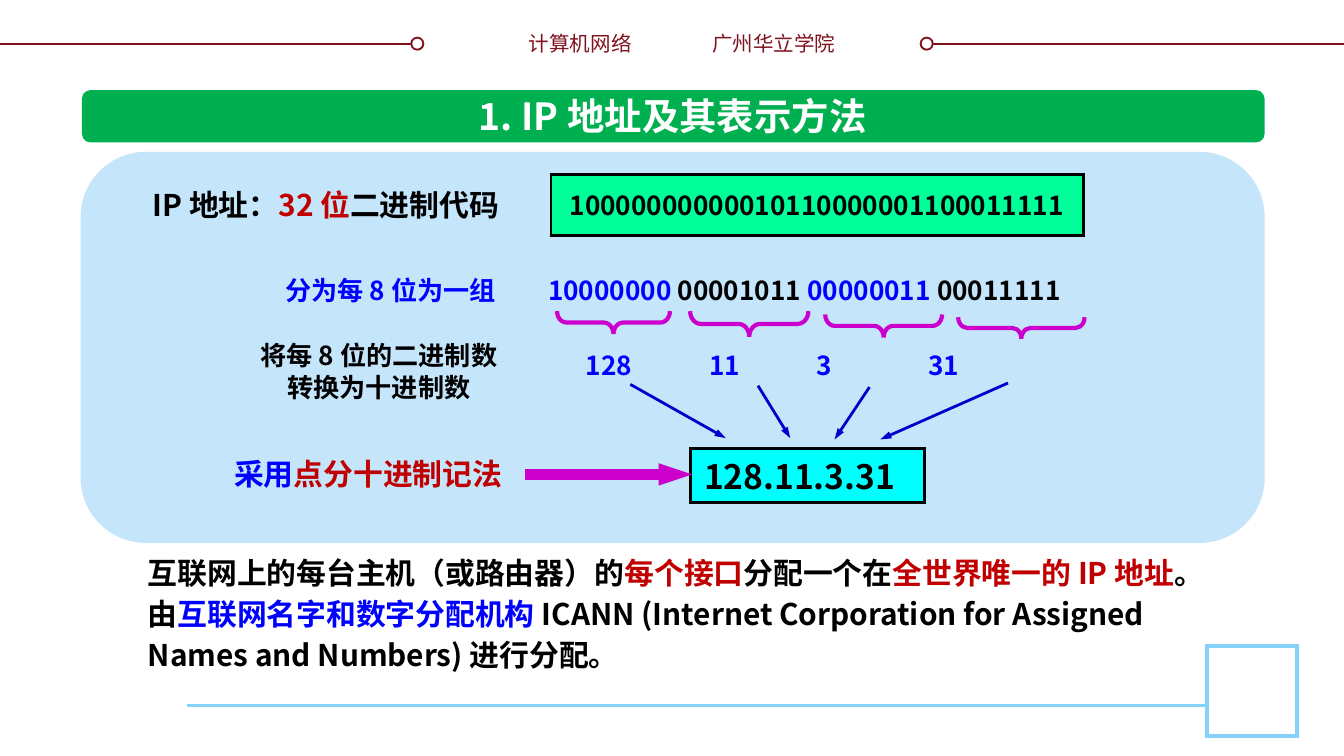
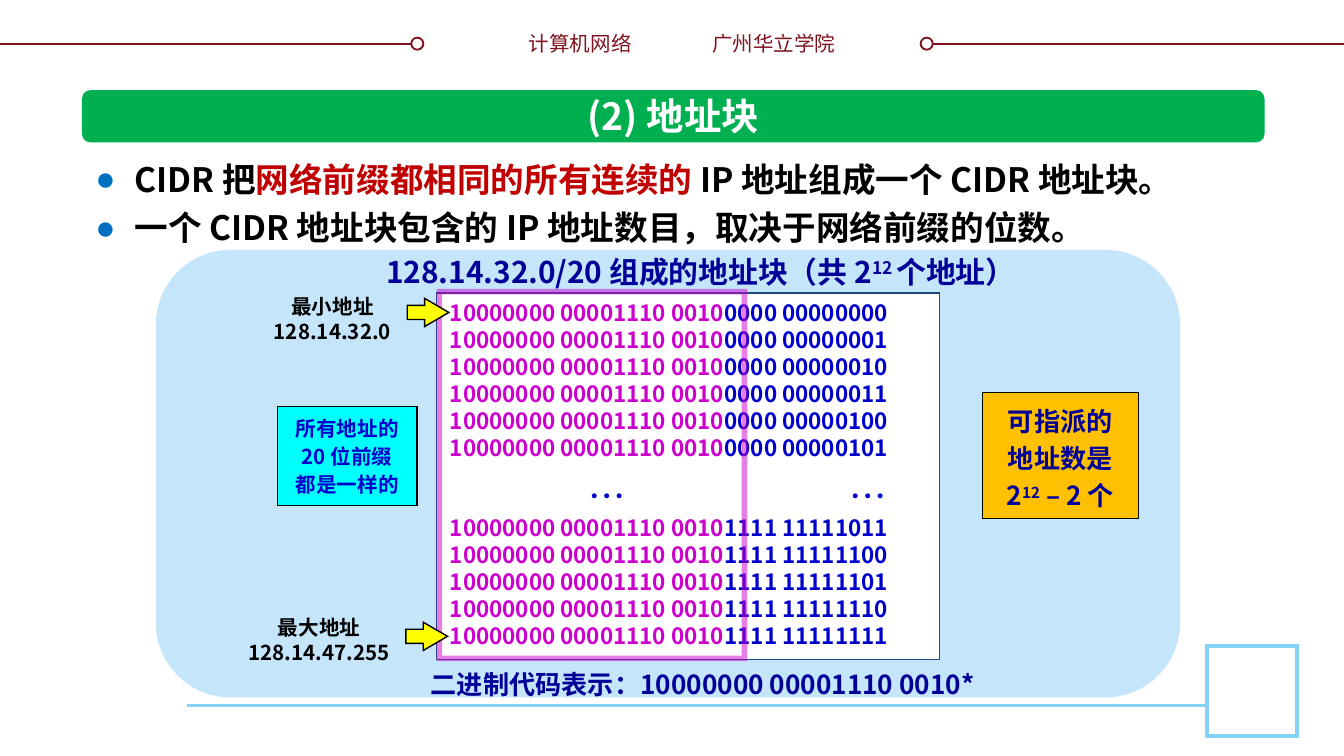
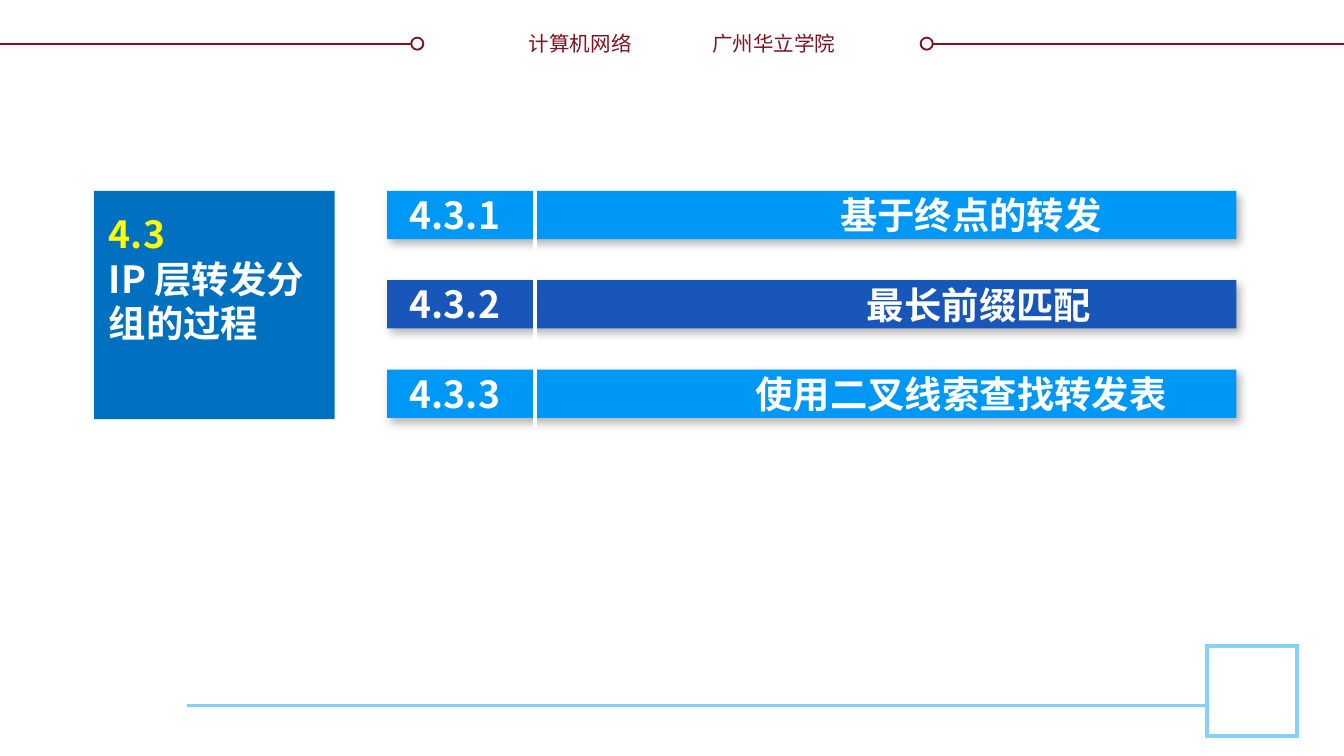
import pptx
import pptx.util
import pptx.dml.color
import pptx.enum.shapes
import pptx.enum.text
import pptx.oxml.ns
from lxml import etree

FONT = "Noto Sans CJK SC"
COLOURS = {
    "white": "FFFFFF", "black": "000000", "maroon": "7F131F", "sky": "85D1F7",
    "green": "00B050", "panel": "C5E5FB", "mint": "00FF99", "cyan": "00FFFF",
    "red": "C00000", "blue": "0000FF", "ink": "0000CC", "navy": "000099",
    "magenta": "CC00CC", "slate": "1F497D", "yellow": "FFFF00", "amber": "FFC000",
    "bullet": "0070C0", "azure": "0098F6", "royal": "1956B9",
}
RGB = {name: pptx.dml.color.RGBColor.from_string(value) for name, value in COLOURS.items()}
SHAPE = pptx.enum.shapes.MSO_SHAPE
ALIGN = {
    "l": pptx.enum.text.PP_ALIGN.LEFT,
    "c": pptx.enum.text.PP_ALIGN.CENTER,
    "r": pptx.enum.text.PP_ALIGN.RIGHT,
}
qn = pptx.oxml.ns.qn

deck = pptx.Presentation()
deck.slide_width = pptx.util.Inches(10)
deck.slide_height = deck.slide_width * 9 // 16
CELL = deck.slide_width // 100


def place(page, kind, area, paras=(), size=16, fill=None, line=None, width=1,
          align="l", wrap=True, middle=False, bold=True, leading=None,
          gap=0, bullet=False, indents=()):
    area = [round(length * CELL) for length in area]
    if kind in ("title", "body"):
        box = page.shapes.title if kind == "title" else page.placeholders[1]
        box.left, box.top, box.width, box.height = area
        page.shapes.element.append(box.element)
    elif kind == "text":
        box = page.shapes.add_textbox(*area)
    else:
        box = page.shapes.add_shape(kind, *area)
        box.shadow.inherit = False
        if fill:
            box.fill.solid()
            box.fill.fore_color.rgb = RGB[fill]
        else:
            box.fill.background()
        if line:
            box.line.color.rgb = RGB[line]
            box.line.width = pptx.util.Pt(width)
            etree.SubElement(box.element.spPr.find(qn("a:ln")), qn("a:miter"), lim="800000")
        else:
            box.line.fill.background()
    frame = box.text_frame
    frame.word_wrap = wrap
    frame.auto_size = pptx.enum.text.MSO_AUTO_SIZE.NONE
    anchor = pptx.enum.text.MSO_ANCHOR
    frame.vertical_anchor = anchor.MIDDLE if middle else anchor.TOP
    for index, spans in enumerate(paras):
        para = frame.paragraphs[0] if index == 0 else frame.add_paragraph()
        settings = para._p.get_or_add_pPr()
        hanging = pptx.util.Inches(0.29) if bullet else 0
        margin = round(indents[index] * CELL) if indents else hanging
        settings.set("marL", str(margin))
        settings.set("indent", str(-hanging))
        if bullet:
            tint = etree.SubElement(settings, qn("a:buClr"))
            etree.SubElement(tint, qn("a:srgbClr"), val=COLOURS["bullet"])
            etree.SubElement(settings, qn("a:buChar"), char="●")
        else:
            etree.SubElement(settings, qn("a:buNone"))
        para.alignment = ALIGN[align]
        para.line_spacing = pptx.util.Pt(leading or size * 1.2)
        para.space_before = pptx.util.Pt(gap if index else 0)
        for text, colour, *raised in spans:
            span = para.add_run()
            span.text = text
            span.font.name = FONT
            etree.SubElement(span._r.get_or_add_rPr(), qn("a:ea"), typeface=FONT)
            span.font.size = pptx.util.Pt(size)
            span.font.bold = bold
            span.font.color.rgb = RGB[colour]
            if raised:
                span._r.get_or_add_rPr().set("baseline", "30000")
    return box


def connect(page, start, end, colour, width, arrow=False):
    points = [round(length * CELL) for length in (*start, *end)]
    link = page.shapes.add_connector(pptx.enum.shapes.MSO_CONNECTOR.STRAIGHT, *points)
    link.line.color.rgb = RGB[colour]
    link.line.width = pptx.util.Pt(width)
    if arrow:
        outline = link.element.spPr.find(qn("a:ln"))
        etree.SubElement(outline, qn("a:tailEnd"), type="triangle", w="sm", len="med")
    etree.SubElement(link.element.spPr, qn("a:effectLst"))
    return link


address_page, block_page, agenda_page = [
    deck.slides.add_slide(deck.slide_layouts[1]) for _ in range(3)
]

page = address_page
frame_parts = [
    connect(page, (0, 3.3), (31.5, 3.3), "maroon", 1),
    connect(page, (68.5, 3.3), (100, 3.3), "maroon", 1),
    place(page, "text", (52, 1.8, 11.6, 2.9), [[("广州华立学院", "maroon")]], 11, bold=False),
    place(page, "text", (38.3, 1.8, 9.7, 2.9), [[("计算机网络", "maroon")]], 11,
          align="r", wrap=False, bold=False),
    connect(page, (13.9, 52.5), (89.8, 52.5), "sky", 1.5),
    place(page, SHAPE.RECTANGLE, (89.8, 48.1, 6.7, 6.7), fill="white", line="sky", width=2),
    place(page, SHAPE.RECTANGLE, (47.4, 1.4, 5.2, 5.1), fill="white"),
]
for left in (30.6, 68.5):
    frame_parts.append(place(page, SHAPE.OVAL, (left, 2.8, 0.9, 0.9), fill="white", line="maroon"))
for number, part in enumerate(frame_parts, 101):
    part.element.xpath(".//p:cNvPr")[0].set("id", str(number))
    deck.slide_master.shapes.element.append(part.element)

for page, left, width, heading in (
    (address_page, 33.9, 32.3, "1. IP 地址及其表示方法"),
    (block_page, 42.5, 15.2, "(2) 地址块"),
):
    place(page, SHAPE.ROUNDED_RECTANGLE, (6.1, 6.7, 88, 3.9), fill="green")
    place(page, "title", (left, 6.4, width, 4.4), [[(heading, "white")]], 20, align="c", wrap=False)

page = address_page
place(page, SHAPE.ROUNDED_RECTANGLE, (6, 11.3, 88.1, 29.1), fill="panel")
place(page, SHAPE.RECTANGLE, (41, 13, 39.6, 4.5),
      [[("10000000000010110000001100011111", "black")]], 14,
      fill="mint", line="black", width=1.5, align="c", wrap=False, middle=True)
place(page, "text", (8, 13.4, 32.5, 3.7),
      [[("IP 地址：", "black"), ("32 位", "red"), ("二进制代码", "black")]], align="c")
place(page, "text", (39.8, 19.9, 43.6, 3.4),
      [[("10000000 ", "blue"), ("00001011", "black"), (" 00000011 ", "blue"), ("00011111", "black")]],
      14, wrap=False)
place(page, "text", (20, 19.9, 18.1, 3.4), [[("分为每 8 位为一组", "blue")]], 14, align="c")
place(page, "text", (15.2, 33.4, 24.4, 3.7),
      [[("采用", "blue"), ("点分十进制记法", "red")]], align="c")
place(page, SHAPE.RECTANGLE, (51.4, 33.4, 17.4, 4), [[("128.11.3.31", "black")]], 18,
      fill="cyan", line="black", width=1.5, wrap=False)
for brace_area, octet, octet_left, start, end in (
    ((44.8, 19.8, 1.7, 8.4), "128", 42.6, (46.9, 28.6), (54, 32.6)),
    ((54.8, 19.7, 1.9, 8.8), "11", 51.8, (56.4, 28.7), (58.8, 32.6)),
    ((64.9, 19.9, 1.7, 8.7), "3", 59.8, (64.7, 28.8), (62.1, 32.7)),
    ((75.2, 19.7, 1.6, 9.4), "31", 68.1, (75, 28.5), (65.5, 32.7)),
):
    brace = place(page, SHAPE.LEFT_BRACE, brace_area, line="magenta", width=2.25)
    brace.rotation = 270
    brace.adjustments[0] = 0.42
    place(page, "text", (octet_left, 25.5, 6, 3.4), [[(octet, "blue")]], 14)
    connect(page, start, end, "ink", 1.5, arrow=True)
place(page, "text", (17.8, 24.8, 20.8, 5.7),
      [[("将每 8 位的二进制数", "black")], [("转换为十进制数", "black")]], 14, align="c")
connect(page, (39.1, 35.3), (51.5, 35.3), "magenta", 6, arrow=True)
place(page, "body", (10, 40.4, 80.8, 10.3), [
    [("互联网上的每台主机（或路由器）的", "black"), ("每个接口", "red"), ("分配一个在", "black"),
     ("全世界唯一的 IP 地址", "red"), ("。", "black")],
    [("由", "black"), ("互联网名字和数字分配机构 ", "blue"),
     ("ICANN (Internet Corporation for Assigned Names and Numbers) 进行分配。", "black")],
], leading=22)

page = block_page
place(page, "body", (6.1, 10.7, 90.7, 8.5), [
    [("CIDR 把", "black"), ("网络前缀都相同的所有连续的 ", "red"),
     ("IP 地址组成一个 CIDR 地址块。", "black")],
    [("一个 CIDR 地址块包含的 IP 地址数目，取决于网络前缀的位数。", "black")],
], 18, leading=26, bullet=True)
place(page, SHAPE.ROUNDED_RECTANGLE, (11.6, 18.6, 76.2, 33.3), fill="panel")
place(page, "text", (24.7, 18.1, 54.9, 3.8),
      [[("128.14.32.0/20 组成的地址块（共 2", "navy"), ("12 ", "navy", True), ("个地址）", "navy")]],
      align="c", leading=21)
suffixes = [
    "0000 00000000", "0000 00000001", "0000 00000010", "0000 00000011",
    "0000 00000100", "0000 00000101", "1111 11111011", "1111 11111100",
    "1111 11111101", "1111 11111110", "1111 11111111",
]
listing = place(page, SHAPE.RECTANGLE, (32.5, 21.8, 37.4, 27.3),
                [[("10000000 00001110 0010", "magenta"), (suffix, "ink")] for suffix in suffixes],
                12, fill="white", line="slate", width=0.75)
listing.text_frame.paragraphs[6].space_before = pptx.util.Pt(28.8)
for left in (62.2, 42.8):
    place(page, "text", (left, 34.7, 4.8, 4.4), [[("…", "ink")]], 20, wrap=False, bold=False)
prefix = place(page, SHAPE.RECTANGLE, (32.7, 21.7, 22.7, 27.3), line="magenta", width=3)
etree.SubElement(prefix.element.spPr.find(".//" + qn("a:srgbClr")), qn("a:alpha"), val="50000")
place(page, SHAPE.RECTANGLE, (20.64, 30.24, 10.4, 7.4),
      [[("所有地址的 20 位前缀", "ink")], [("都是一样的", "ink")]], 11,
      fill="cyan", line="black", width=0.75, align="c", leading=15)
for left, top, width, arrow_left, arrow_top, label, address in (
    (18.1, 21.4, 13.3, 30.3, 22.2, "最小地址", "128.14.32.0"),
    (15.9, 45.3, 15.7, 30.2, 46.3, "最大地址", "128.14.47.255"),
):
    place(page, "text", (left, top, width, 4.7), [[(label, "black")], [(address, "black")]], 11, align="c")
    pointer = place(page, SHAPE.RIGHT_ARROW, (arrow_left, arrow_top, 3.1, 2.1),
                    fill="yellow", line="black", width=0.75)
    pointer.adjustments[1] = 0.86
place(page, SHAPE.RECTANGLE, (73.1, 29.2, 11.6, 9.4),
      [[("可指派的地址数是2", "navy"), ("12", "navy", True), (" – 2 个", "navy")]], 14,
      fill="amber", line="black", width=0.75, align="c", leading=20)
place(page, "text", (28.8, 49, 47, 3.6),
      [[("二进制代码表示：10000000 00001110 0010*", "navy")]], 14, align="c", leading=18.5)

page = agenda_page
for row, colour in enumerate(("azure", "royal", "azure")):
    top = 14.2 + row * 6.65
    bar = place(page, SHAPE.RECTANGLE, (28.8, top, 63.2, 3.6), fill=colour)
    shadow = etree.SubElement(bar.element.spPr.find(qn("a:effectLst")), qn("a:outerShdw"),
                              blurRad=str(pptx.util.Pt(4.5)), dist=str(pptx.util.Pt(2.6)),
                              dir=str(53 * 60000), algn="tl", rotWithShape="0")
    shade = etree.SubElement(shadow, qn("a:srgbClr"), val=COLOURS["black"])
    etree.SubElement(shade, qn("a:alpha"), val="30000")
    place(page, "text", (29.5, top - 0.4, 10, 4.4), [[(f"4.3.{row + 1}", "white")]], 20)
connect(page, (39.8, 9.4), (39.8, 41.1), "white", 2.25)
place(page, "body", (29.5, 13.8, 61, 21.2), [
    [("基于终点的转发", "white")],
    [("最长前缀匹配", "white")],
    [("使用二叉线索查找转发表", "white")],
], 20, gap=24, indents=(32, 34, 25.7))
place(page, SHAPE.RECTANGLE, (7, 14.2, 17.9, 17), fill="bullet")
place(page, "title", (7.1, 15.2, 17.8, 11.1),
      [[("4.3", "yellow")], [("IP 层转发分组的过程", "white")]], 20)

deck.save("out.pptx")
